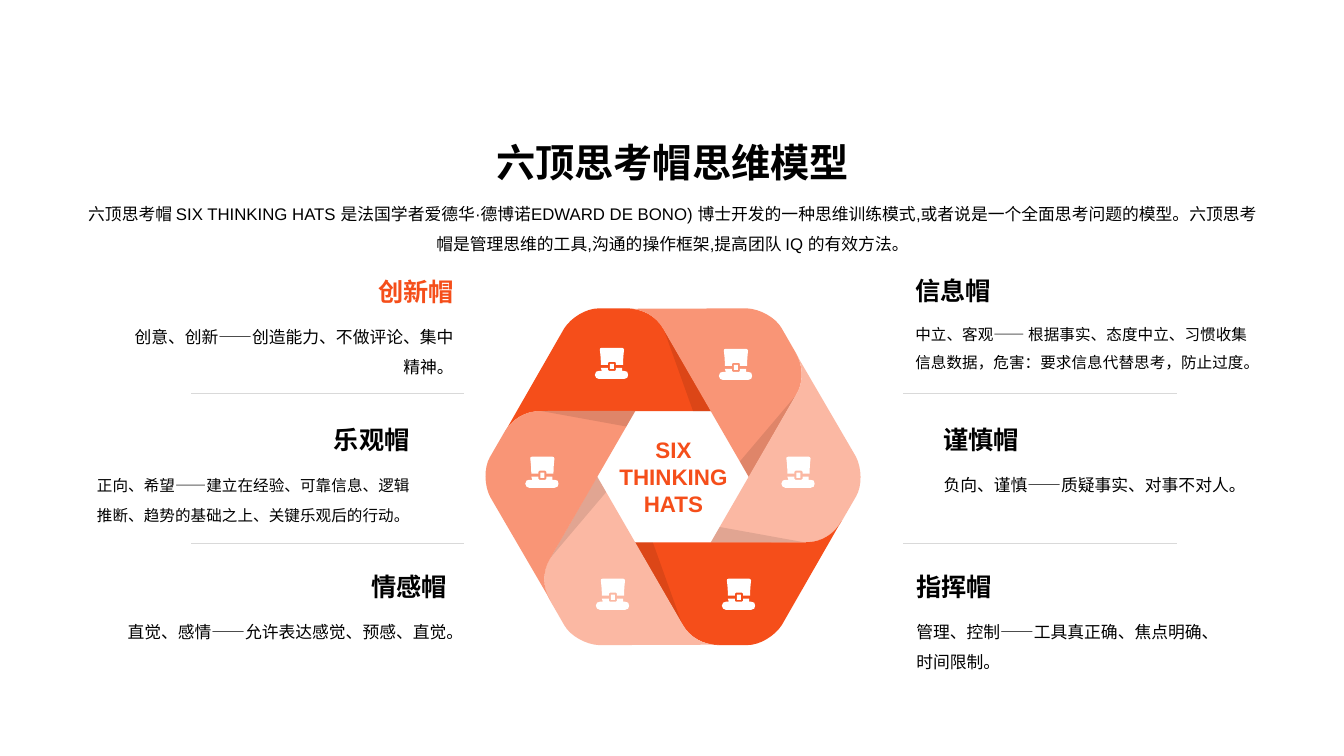
"""Build the six thinking hats slide."""
from math import cos, radians, sin

from lxml import etree
from pptx import Presentation
from pptx.dml.color import RGBColor
from pptx.enum.lang import MSO_LANGUAGE_ID
from pptx.enum.shapes import MSO_CONNECTOR, MSO_SHAPE
from pptx.enum.text import MSO_ANCHOR, MSO_AUTO_SIZE, PP_ALIGN
from pptx.oxml.ns import qn
from pptx.util import Inches, Pt

STRAIGHT = MSO_CONNECTOR.STRAIGHT
HEXAGON = MSO_SHAPE.HEXAGON
TOP, MIDDLE, BOTTOM = MSO_ANCHOR.TOP, MSO_ANCHOR.MIDDLE, MSO_ANCHOR.BOTTOM
LEFT, CENTER, RIGHT = PP_ALIGN.LEFT, PP_ALIGN.CENTER, PP_ALIGN.RIGHT
NO_FIT = MSO_AUTO_SIZE.NONE
CHINESE = MSO_LANGUAGE_ID.SIMPLIFIED_CHINESE

FONT = "Arial"
COLORS = {"strong": "F54E1A", "medium": "F99576", "light": "FBB8A3",
          "text": "000000", "white": "FFFFFF", "rule": "D9D9D9"}

TITLE = "六顶思考帽思维模型"
INTRO = ("六顶思考帽 SIX THINKING HATS 是法国学者爱德华·德博诺EDWARD DE BONO) "
         "博士开发的一种思维训练模式,或者说是一个全面思考问题的模型。"
         "六顶思考帽是管理思维的工具,沟通的操作框架,提高团队 IQ 的有效方法。")

LEFT_CARDS = [
    ((1.16, 2.57, 3.44, 1.2), "创新帽", "创意、创新——创造能力、不做评论、集中精神。",
     {"accent": "strong"}),
    ((0.72, 4.04, 3.44, 1.28), "乐观帽",
     "正向、希望——建立在经验、可靠信息、逻辑推断、趋势的基础之上、关键乐观后的行动。",
     {"size": 11.1, "spacing": 1.6}),
    ((1.09, 5.5, 3.44, 1.2), "情感帽", "直觉、感情——允许表达感觉、预感、直觉。", {}),
]
RIGHT_CARDS = [
    ((8.98, 2.56, 3.62, 1.36), "信息帽",
     "中立、客观—— 根据事实、态度中立、习惯收集信息数据，危害：要求信息代替思考，防止过度。",
     {"size": 11.1}),
    ((9.26, 4.04, 3.34, 1.2), "谨慎帽", "负向、谨慎——质疑事实、对事不对人。", {}),
    ((8.99, 5.5, 3.34, 1.2), "指挥帽", "管理、控制——工具真正确、焦点明确、时间限制。", {}),
]

BLADE = [(-0.09, -1.46), ((-0.16, -1.59), (-0.3, -1.67), (-0.46, -1.67)),
         (-0.74, -1.67), ((-0.86, -1.67), (-1.01, -1.58), (-1.08, -1.47)),
         (-1.67, -0.44), ((-1.6, -0.57), (-1.47, -0.65), (-1.32, -0.65)),
         (0.38, -0.65)]
FOLD = [(-0.09, -1.46), (0.2, -0.65), (0.38, -0.65)]
BLADE_COLORS = ["strong", "medium", "light", "strong", "light", "medium"]

BRIM = [(0.06, 0.2), (0.13, 0.2), (0.13, 0.22), (0.14, 0.23), (0.2, 0.23),
        (0.21, 0.22), (0.21, 0.2), (0.27, 0.2), (0.27, 0.23), (0.29, 0.23),
        ((0.32, 0.23), (0.33, 0.24), (0.33, 0.27)),
        ((0.33, 0.29), (0.32, 0.31), (0.29, 0.31)), (0.04, 0.31),
        ((0.02, 0.31), (0, 0.29), (0, 0.27)),
        ((0, 0.24), (0.02, 0.23), (0.04, 0.23)), (0.07, 0.23)]
BUCKLE = [(0.15, 0.16), (0.19, 0.16), (0.19, 0.21), (0.15, 0.21)]
CROWN = [(0.07, 0), (0.27, 0), ((0.28, 0), (0.29, 0.01), (0.29, 0.02)),
         ((0.29, 0.02), (0.28, 0.09), (0.28, 0.17)), (0.21, 0.17), (0.21, 0.15),
         (0.2, 0.14), (0.14, 0.14), (0.13, 0.15), (0.13, 0.17), (0.06, 0.17),
         ((0.06, 0.09), (0.05, 0.02), (0.05, 0.02)),
         ((0.04, 0.01), (0.06, 0), (0.07, 0))]
HATS = [(1.1, 0.39), (2.33, 0.4), (2.95, 1.47),
        (2.36, 2.68), (1.11, 2.68), (0.41, 1.47)]


def rgb(name):
    """Return the named colour."""
    return RGBColor.from_string(COLORS[name])


def write(sp, *lines, size=12, color="text", bold=False, align=LEFT,
          anchor=TOP, spacing=1.0, wrap=True):
    """Fill a shape with formatted lines of text."""
    tf = sp.text_frame
    tf.auto_size, tf.word_wrap, tf.vertical_anchor = NO_FIT, wrap, anchor
    for i, line in enumerate(lines):
        p = tf.add_paragraph() if i else tf.paragraphs[0]
        p.alignment, p.line_spacing, p.space_before = align, spacing, Pt(0)
        r = p.add_run()
        r.text = line
        r.font.name, r.font.size, r.font.bold = FONT, Pt(size), bold
        r.font.color.rgb = rgb(color)
        r.font.language_id = CHINESE


def add_text(s, box, text, **style):
    """Add a text box at the given box."""
    write(s.shapes.add_textbox(*map(Inches, box)), text, **style)


def is_curve(part):
    """Tell a cubic curve from a corner."""
    return len(part) == 3


def bend(sp, outlines):
    """Merge the three segments of each curve into one cubic curve."""
    nodes = iter(list(sp.element.spPr.find(".//" + qn("a:path"))))
    for outline in outlines:
        for part in outline:
            node = next(nodes)
            if is_curve(part):
                node.tag = qn("a:cubicBezTo")
                for extra in (next(nodes), next(nodes)):
                    node.append(extra[0])
                    extra.getparent().remove(extra)
        next(nodes)


def add_outline(s, origin, outlines, color, turn=0, alpha=None):
    """Draw closed outlines around an origin, turned by some degrees."""
    x0, y0 = origin
    co, si = cos(radians(turn)), sin(radians(turn))
    builder = None
    for outline in outlines:
        corners = [pt for part in outline
                   for pt in (part if is_curve(part) else [part])]
        points = [(Inches(x0 + x * co - y * si), Inches(y0 + x * si + y * co))
                  for x, y in corners]
        if builder is None:
            builder = s.shapes.build_freeform(*points[0])
        else:
            builder.move_to(*points[0])
        builder.add_line_segments(points[1:], close=True)
    sp = builder.convert_to_shape()
    bend(sp, outlines)
    sp.shadow.inherit = False
    sp.line.fill.background()
    sp.fill.solid()
    sp.fill.fore_color.rgb = rgb(color)
    if alpha is not None:
        fill = sp.element.spPr.find(qn("a:solidFill"))
        etree.SubElement(fill[0], qn("a:alpha")).set("val", str(alpha * 1000))


def place_heading(s, box):
    """Place the title and the introduction in their placeholders."""
    x, y, w, h = box
    title, intro = s.shapes.title, s.placeholders[1]
    for sp, top, height in ((title, y, 0.65), (intro, y + 0.63, h - 0.63)):
        sp.left, sp.top, sp.width, sp.height = map(Inches, (x, top, w, height))
    write(title, TITLE, size=28, bold=True, align=CENTER, anchor=BOTTOM)
    write(intro, INTRO, align=CENTER, spacing=1.5)


def place_card(s, box, name, text, align, accent="text", size=12, spacing=1.5):
    """Place a hat's name above its description."""
    x, y, w, h = box
    add_text(s, (x, y, w, 0.52), name, size=18, bold=True, color=accent,
             align=align, anchor=BOTTOM)
    add_text(s, (x, y + 0.52, w, h - 0.52), text, size=size, align=align,
             spacing=spacing)


def place_column(s, box, cards, align):
    """Place a column of cards with rules between them."""
    x, y, w, h = box
    for card_box, name, text, style in cards:
        place_card(s, card_box, name, text, align, **style)
    for rule_y in (y, y + h):
        rule = s.shapes.add_connector(
            STRAIGHT, *map(Inches, (x + w, rule_y, x, rule_y)))
        rule.line.color.rgb, rule.line.width = rgb("rule"), Pt(0.25)
        etree.SubElement(rule.element.spPr, qn("a:effectLst"))


def place_wheel(s, box):
    """Place six folded blades, their hats and the central label."""
    x, y, w, h = box
    center = cx, cy = x + w / 2, y + h / 2
    for i, color in enumerate(BLADE_COLORS):
        add_outline(s, center, [BLADE], color, turn=60 * i)
        add_outline(s, center, [FOLD], "text", turn=60 * i, alpha=10)
    for dx, dy in HATS:
        add_outline(s, (x + dx, y + dy), [BRIM, BUCKLE, CROWN], "white")
    sp = s.shapes.add_shape(
        HEXAGON, *map(Inches, (cx - 0.75, cy - 0.66, 1.51, 1.32)))
    sp.adjustments[0] = 0.29
    sp.shadow.inherit = False
    sp.fill.background()
    sp.line.fill.background()
    write(sp, "SIX", "THINKING", "HATS", size=16, color="strong", bold=True,
          align=CENTER, anchor=MIDDLE, wrap=False)


prs = Presentation()
prs.slide_width, prs.slide_height = Inches(13.33), Inches(7.5)
s = prs.slides.add_slide(prs.slide_layouts[0])
place_column(s, (1.89, 3.9, 2.71, 1.49), LEFT_CARDS, RIGHT)
place_column(s, (8.96, 3.9, 2.71, 1.49), RIGHT_CARDS, LEFT)
place_wheel(s, (4.8, 3.06, 3.75, 3.34))
place_heading(s, (0.73, 1.24, 11.88, 1.33))
prs.save("out.pptx")
